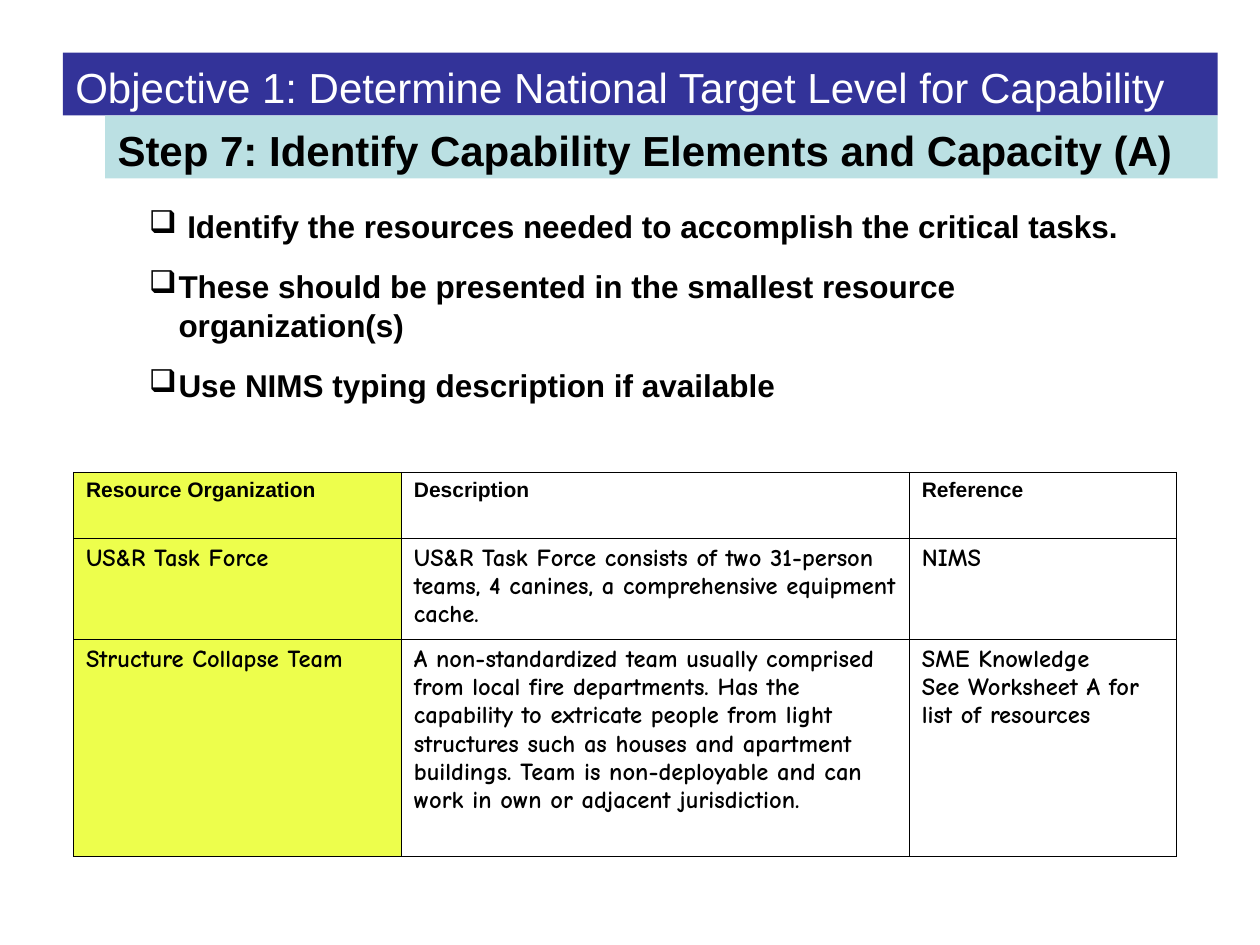
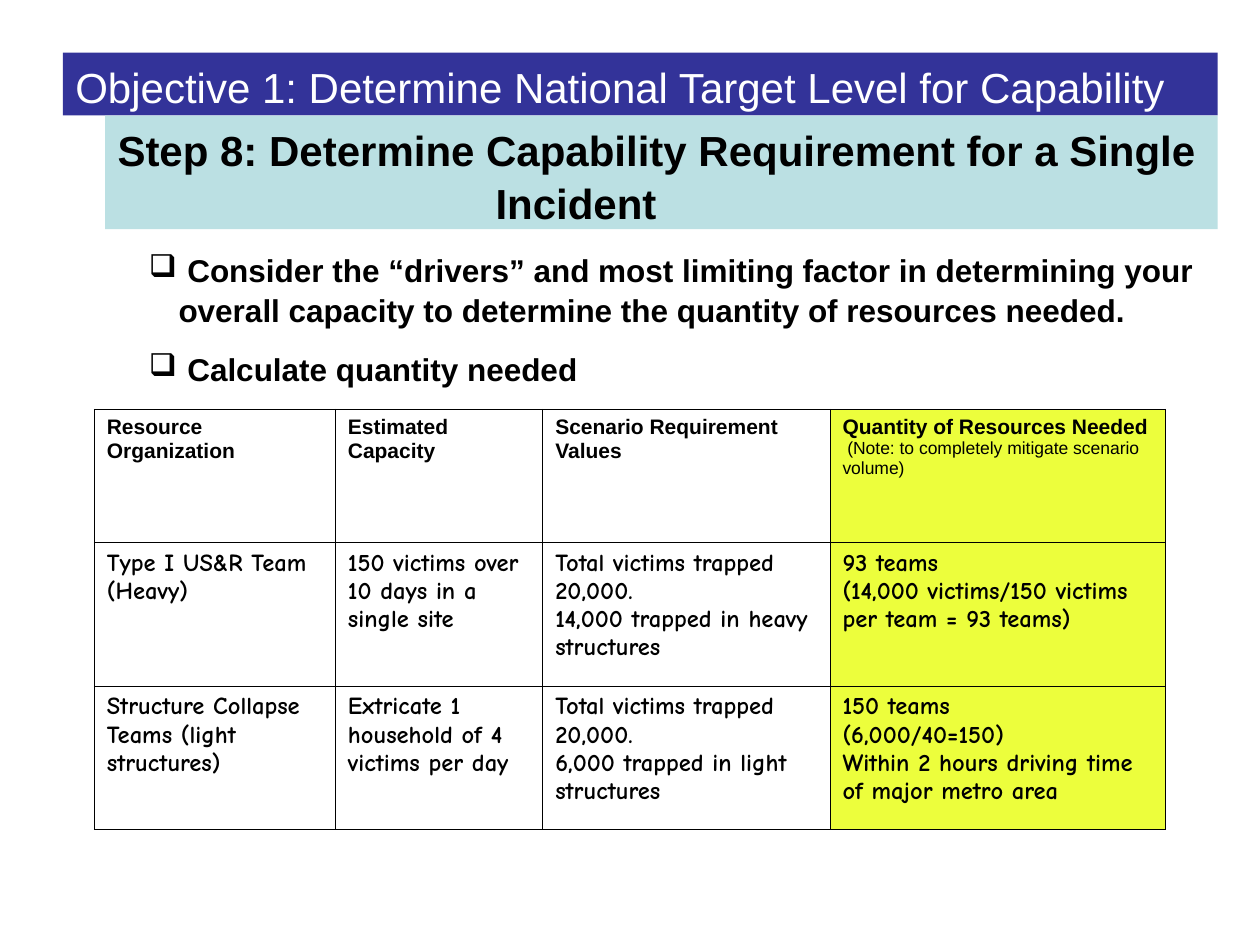
"""Builds two planning-step slides, each with title bands, checklist and table."""
from lxml import etree
from pptx import Presentation
from pptx.dml.color import RGBColor
from pptx.enum.shapes import MSO_SHAPE as Shape
from pptx.enum.text import MSO_ANCHOR as Anchor, PP_ALIGN as Align
from pptx.oxml.ns import qn
from pptx.util import Cm, Pt

NAVY, AQUA, BLACK, WHITE = "333399", "BBE0E3", "000000", "FFFFFF"
HEADING_FONT, ENTRY_FONT = "Arial", "Comic Neue"
BAND_RIGHT, BAND_TOP, BAND_LINE = 24.55, 1.06, 1.27
BULLET_INDENT = 0.6
TAB_STOP = 7.62
OBJECTIVE = "Objective 1: Determine National Target Level for Capability"

SLIDES = [
    {
        "step": "Step 7: Identify Capability Elements and Capacity (A)",
        "step_height": 1.27,
        "checklist_at": (2.75, 4.02, 21.3, 4.11),
        "checklist": [
            " Identify the resources needed to accomplish the critical tasks.",
            "These should be presented in the smallest resource organization(s)",
            "Use NIMS typing description if available",
        ],
        "table_at": (1.48, 9.52),
        "columns": [6.61, 10.24, 5.39],
        "rows": [1.33, 2.03, 4.37],
        "highlight": (0, "EDFE4C"),
        "cells": [
            ["Resource Organization", "Description", "Reference"],
            ["US&R Task Force",
             "US&R Task Force consists of two 31-person teams, 4 canines, "
             "a comprehensive equipment cache.",
             "NIMS"],
            ["Structure Collapse Team",
             "A non-standardized team usually comprised from local fire departments. "
             "Has the capability to extricate people from light structures such as "
             "houses and apartment buildings. Team is non-deployable and can work in "
             "own or adjacent jurisdiction.",
             "SME Knowledge\nSee Worksheet A for list of resources"],
        ],
    },
    {
        "step": "Step 8: Determine Capability Requirement for a Single\v\tIncident",
        "step_height": 2.29,
        "checklist_at": (2.75, 4.9, 22.02, 2.95),
        "checklist": [
            " Consider the “drivers” and most limiting factor in determining your "
            "overall capacity to determine the quantity of resources needed.",
            " Calculate quantity needed",
        ],
        "table_at": (1.9, 8.25),
        "columns": [4.86, 4.18, 5.79, 6.76],
        "rows": [2.69, 2.9, 2.88],
        "highlight": (3, "ECFE3C"),
        "cells": [
            ["Resource Organization", "Estimated Capacity", "Scenario Requirement Values",
             "Quantity of Resources Needed\n (Note: to completely mitigate scenario volume)"],
            ["Type I US&R Team (Heavy)", "150 victims over 10 days in a single site",
             "Total victims trapped 20,000.\n14,000 trapped in heavy structures",
             "93 teams\n(14,000 victims/150 victims per team = 93 teams)"],
            ["Structure Collapse Teams (light structures)",
             "Extricate 1 household of 4 victims per day",
             "Total victims trapped 20,000.\n6,000 trapped in light structures",
             "150 teams\n(6,000/40=150)\nWithin 2 hours driving time of major metro area"],
        ],
    },
]


def color(value):
    return RGBColor.from_string(value)


def style_runs(para, size, bold=True, ink=BLACK, font=HEADING_FONT):
    for span in para.runs:
        span.font.name, span.font.size, span.font.bold = font, Pt(size), bold
        span.font.color.rgb = color(ink)


def add_band(page, text, left, top, height, fill, ink, bold):
    band = page.shapes.add_shape(
        Shape.RECTANGLE, Cm(left), Cm(top), Cm(BAND_RIGHT - left), Cm(height))
    band.shadow.inherit = False
    band.fill.solid()
    band.fill.fore_color.rgb = color(fill)
    band.line.fill.background()
    frame = band.text_frame
    frame.word_wrap = True
    frame.vertical_anchor = Anchor.TOP
    frame.text = text
    para = frame.paragraphs[0]
    para.alignment = Align.LEFT
    para.line_spacing = 1.05
    if "\t" in text:
        tabs = etree.SubElement(para._p.get_or_add_pPr(), qn("a:tabLst"))
        etree.SubElement(tabs, qn("a:tab"), pos=str(Cm(TAB_STOP)), algn="l")
    style_runs(para, 24, bold, ink)


def add_checklist(page, items, place):
    box = page.shapes.add_textbox(*map(Cm, place))
    frame = box.text_frame
    frame.word_wrap = True
    frame.text = "\n".join(items)
    for index, para in enumerate(frame.paragraphs):
        para.line_spacing = 1.05
        if index:
            para.space_before = Pt(11.2)
        properties = para._p.get_or_add_pPr()
        properties.set("marL", str(Cm(BULLET_INDENT)))
        properties.set("indent", str(-Cm(BULLET_INDENT)))
        etree.SubElement(properties, qn("a:buChar"), char="❑")
        style_runs(para, 18)


def add_borders(cell):
    properties = cell._tc.get_or_add_tcPr()
    for position, side in enumerate(("lnL", "lnR", "lnT", "lnB")):
        line = etree.Element(qn(f"a:{side}"), w=str(Pt(0.45)))
        fill = etree.SubElement(line, qn("a:solidFill"))
        etree.SubElement(fill, qn("a:srgbClr"), val=BLACK)
        properties.insert(position, line)


def fill_cell(cell, text, is_header, fill):
    cell.text = text
    for index, para in enumerate(cell.text_frame.paragraphs):
        if not is_header:
            style_runs(para, 14, font=ENTRY_FONT)
        elif index:
            style_runs(para, 10, bold=False)
        else:
            style_runs(para, 12)
    if fill:
        cell.fill.solid()
        cell.fill.fore_color.rgb = color(fill)
    else:
        cell.fill.background()
    add_borders(cell)


def add_resource_table(page, content):
    columns, rows = content["columns"], content["rows"]
    left, top = content["table_at"]
    table = page.shapes.add_table(
        len(rows), len(columns), Cm(left), Cm(top), Cm(sum(columns)), Cm(sum(rows))).table
    table.first_row = table.horz_banding = False
    for column, width in zip(table.columns, columns):
        column.width = Cm(width)
    for row, height in zip(table.rows, rows):
        row.height = Cm(height)
    marked_column, marker = content["highlight"]
    for row_index, texts in enumerate(content["cells"]):
        for column_index, text in enumerate(texts):
            fill = marker if column_index == marked_column else None
            fill_cell(table.cell(row_index, column_index), text, row_index == 0, fill)


def main():
    deck = Presentation()
    deck.slide_width, deck.slide_height = Cm(25.4), Cm(19.05)
    for content in SLIDES:
        page = deck.slides.add_slide(deck.slide_layouts[6])
        add_band(page, OBJECTIVE, 1.27, BAND_TOP, BAND_LINE, NAVY, WHITE, False)
        add_band(page, content["step"], 2.12, BAND_TOP + BAND_LINE,
                 content["step_height"], AQUA, BLACK, True)
        add_checklist(page, content["checklist"], content["checklist_at"])
        add_resource_table(page, content)
    deck.save("out.pptx")


if __name__ == "__main__":
    main()
